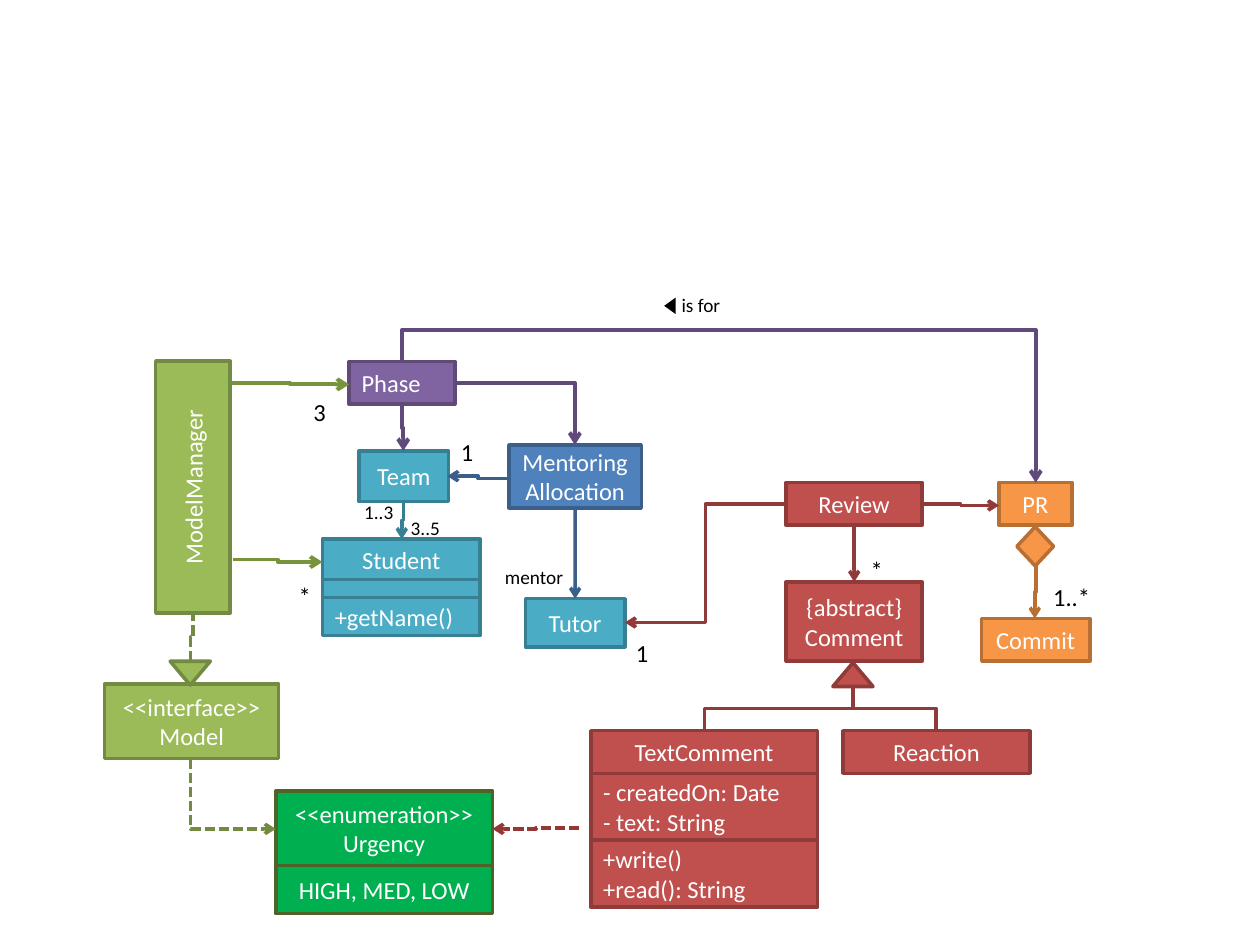
"""Draw a UML class diagram of a student project review system."""
from typing import NamedTuple

import pptx
import pptx.dml.color
import pptx.enum.dml
import pptx.enum.shapes
import pptx.enum.text
import pptx.oxml.ns
import pptx.oxml.xmlchemy
import pptx.util

Cm, Pt = pptx.util.Cm, pptx.util.Pt
RGBColor = pptx.dml.color.RGBColor
ShapeKind = pptx.enum.shapes.MSO_SHAPE
ConnectorKind = pptx.enum.shapes.MSO_CONNECTOR
LEFT, CENTER = pptx.enum.text.PP_ALIGN.LEFT, pptx.enum.text.PP_ALIGN.CENTER
qn, new_element = pptx.oxml.ns.qn, pptx.oxml.xmlchemy.OxmlElement

WHITE, BLACK = RGBColor(0xFF, 0xFF, 0xFF), RGBColor(0x00, 0x00, 0x00)
GREEN, GREEN_EDGE = RGBColor(0x9B, 0xBB, 0x59), RGBColor(0x73, 0x8A, 0x42)
TEAL, TEAL_EDGE = RGBColor(0x4B, 0xAC, 0xC6), RGBColor(0x37, 0x7F, 0x92)
PURPLE, PURPLE_EDGE = RGBColor(0x80, 0x64, 0xA2), RGBColor(0x5F, 0x4A, 0x78)
RED, RED_EDGE = RGBColor(0xC0, 0x50, 0x4D), RGBColor(0x8E, 0x3B, 0x39)
ORANGE, ORANGE_EDGE = RGBColor(0xF7, 0x96, 0x46), RGBColor(0xB7, 0x6F, 0x34)
BLUE, BLUE_EDGE = RGBColor(0x4F, 0x81, 0xBD), RGBColor(0x3A, 0x5F, 0x8C)
EMERALD, EMERALD_EDGE = RGBColor(0x00, 0xB0, 0x50), RGBColor(0x4F, 0x62, 0x28)
GREEN_ARROW, PURPLE_ARROW = RGBColor(0x77, 0x93, 0x3C), RGBColor(0x60, 0x4A, 0x7B)
RED_ARROW = RGBColor(0x95, 0x37, 0x35)


class Compartment(NamedTuple):
    text: str
    height: float
    align: int = CENTER


class ClassBox(NamedTuple):
    position: tuple[float, float]
    width: float
    fill: RGBColor
    edge: RGBColor
    compartments: list[Compartment]
    rotation: float = 0


class Symbol(NamedTuple):
    kind: ShapeKind
    frame: tuple[float, float, float, float]
    fill: RGBColor
    edge: RGBColor
    rotation: float = 0


class Elbow(NamedTuple):
    start: tuple[float, float]
    end: tuple[float, float]
    color: RGBColor
    vertical: bool = False
    arrow: bool = True
    dashed: bool = False
    weight: float = 2
    single_bend: bool = False
    bend: float = 0.5


class Label(NamedTuple):
    text: str
    position: tuple[float, float]
    width: float = 0.61
    height: float = 0.86
    size: float = 14


CLASSES = {
    "Model": ClassBox((2.11, 13.79), 3.51, GREEN, GREEN_EDGE, [Compartment("<<interface>>\vModel", 1.5)]),
    "Phase": ClassBox((7.04, 7.29), 2.13, PURPLE, PURPLE_EDGE, [Compartment("Phase", 0.86, LEFT)]),
    "Review": ClassBox((15.85, 9.73), 2.74, RED, RED_EDGE, [Compartment("Review", 0.86)]),
    "Team": ClassBox((7.24, 9.09), 1.8, TEAL, TEAL_EDGE, [Compartment("Team", 1.02)]),
    "Commit": ClassBox((19.79, 12.47), 2.18, ORANGE, ORANGE_EDGE, [Compartment("Commit", 0.86)]),
    "Tutor": ClassBox((10.59, 12.07), 2.01, TEAL, TEAL_EDGE, [Compartment("Tutor", 0.97)]),
    "Manager": ClassBox((1.35, 9.07), 5.08, GREEN, GREEN_EDGE, [Compartment("ModelManager", 1.5)], 270),
    "Mentoring": ClassBox((10.26, 8.97), 2.67, BLUE, BLUE_EDGE, [Compartment("MentoringAllocation", 1.27)]),
    "PR": ClassBox((20.14, 9.73), 1.47, ORANGE, ORANGE_EDGE, [Compartment("PR", 0.86)]),
    "Comment": ClassBox((15.85, 11.73), 2.74, RED, RED_EDGE, [Compartment("{abstract}\nComment", 1.6)]),
    "Reaction": ClassBox((16.99, 14.73), 3.78, RED, RED_EDGE, [Compartment("Reaction", 0.86)]),
    "Student": ClassBox((6.5, 10.87), 3.18, TEAL, TEAL_EDGE, [
        Compartment("Student", 0.81), Compartment("", 0.37), Compartment("+getName()", 0.76, LEFT)]),
    "TextComment": ClassBox((11.91, 14.73), 4.57, RED, RED_EDGE, [
        Compartment("TextComment", 0.86), Compartment("- createdOn: Date\n- text: String", 1.35, LEFT),
        Compartment("+write()\n+read(): String", 1.35, LEFT)]),
    "Urgency": ClassBox((5.56, 15.95), 4.37, EMERALD, EMERALD_EDGE, [
        Compartment("<<enumeration>>\vUrgency", 1.5), Compartment("HIGH, MED, LOW", 0.97)]),
}
SYMBOLS = [
    Symbol(ShapeKind.ISOSCELES_TRIANGLE, (3.43, 13.33, 0.81, 0.48), GREEN, GREEN_EDGE, 180),
    Symbol(ShapeKind.ISOSCELES_TRIANGLE, (16.79, 13.36, 0.81, 0.48), RED, RED_EDGE),
    Symbol(ShapeKind.FLOWCHART_DECISION, (20.5, 10.62, 0.74, 0.79), ORANGE, ORANGE_EDGE),
]
ELBOWS = [
    Elbow((3.84, 13.33), (3.89, 12.34), GREEN_EDGE, vertical=True, arrow=False, dashed=True),
    Elbow((9.19, 7.72), (11.59, 8.97), PURPLE_ARROW, weight=2.25, single_bend=True),
    Elbow((8.13, 10.11), (8.1, 10.87), TEAL_EDGE, vertical=True),
    Elbow((10.26, 9.65), (9.02, 9.6), BLUE_EDGE),
    Elbow((8.1, 8.15), (8.13, 9.09), PURPLE_ARROW, vertical=True, weight=2.25),
    Elbow((20.88, 11.4), (20.86, 12.47), ORANGE_EDGE, vertical=True),
    Elbow((15.85, 10.16), (12.6, 12.55), RED_EDGE),
    Elbow((18.59, 10.16), (20.14, 10.19), RED_EDGE),
    Elbow((4.65, 7.72), (7.04, 7.75), GREEN_ARROW, weight=2.25),
    Elbow((4.7, 11.28), (6.5, 11.33), GREEN_ARROW, weight=2.25),
    Elbow((8.1, 7.29), (20.88, 9.73), PURPLE_ARROW, vertical=True, weight=2.25, bend=-0.26),
    Elbow((14.2, 14.73), (17.2, 13.84), RED_EDGE, vertical=True, arrow=False),
    Elbow((18.87, 14.73), (17.2, 13.84), RED_EDGE, vertical=True, arrow=False),
    Elbow((3.84, 15.29), (5.56, 16.71), GREEN_EDGE, vertical=True, dashed=True, single_bend=True),
    Elbow((11.68, 16.69), (9.93, 16.71), RED_ARROW, dashed=True),
]
STRAIGHT_ARROWS = [("Mentoring", "Tutor", BLUE_EDGE), ("Review", "Comment", RED_EDGE)]
LABELS = [
    Label("*", (5.77, 11.58)), Label("*", (17.3, 11.07)), Label("1..*", (20.98, 11.61), 1.55),
    Label("1", (9.04, 8.69)), Label("3", (6.07, 7.87)), Label("1", (12.57, 12.73)),
    Label("3..5", (8.03, 10.29), 1.45, 0.73, 11), Label("1..3", (7.09, 9.96), 1.45, 0.73, 11),
    Label("mentor", (9.93, 11.28), 1.75, 0.73, 11),
]
IS_FOR_LABEL = Label("is for", (13.49, 5.79), 1.45, 0.73, 11)
IS_FOR_POINTER = Symbol(ShapeKind.ISOSCELES_TRIANGLE, (13.34, 6.05, 0.33, 0.23), BLACK, BLACK, 270)


def apply_format(target: object, values: dict) -> None:
    for name, value in values.items():
        setattr(target, name, value)


def write_text(text_frame, text: str, size: float, color: RGBColor, align: int) -> None:
    apply_format(text_frame, {"word_wrap": True, "text": text})
    for paragraph in text_frame.paragraphs:
        paragraph.alignment = align
        apply_format(paragraph.font, {"name": "Calibri", "size": Pt(size)})
        paragraph.font.color.rgb = color


def draw_symbol(shapes, symbol: Symbol):
    shape = shapes.add_shape(symbol.kind, *map(Cm, symbol.frame))
    shape.shadow.inherit = False
    shape.rotation = symbol.rotation
    shape.fill.solid()
    shape.fill.fore_color.rgb = symbol.fill
    shape.line.color.rgb = symbol.edge
    shape.line.width = Pt(2)
    return shape


def draw_class(shapes, box: ClassBox):
    (left, top), drawn = box.position, []
    for part in box.compartments:
        frame = (left, top, box.width, part.height)
        drawn.append(draw_symbol(shapes, Symbol(ShapeKind.RECTANGLE, frame, box.fill, box.edge, box.rotation)))
        if part.text:
            write_text(drawn[-1].text_frame, part.text, 14, WHITE, part.align)
        top += part.height
    return drawn[0]


def draw_label(shapes, label: Label) -> None:
    box = shapes.add_textbox(*map(Cm, (*label.position, label.width, label.height)))
    write_text(box.text_frame, label.text, label.size, BLACK, LEFT)
    box.text_frame.auto_size = pptx.enum.text.MSO_AUTO_SIZE.SHAPE_TO_FIT_TEXT


def style_line(connector, color: RGBColor, weight: float = 2, arrow: bool = True, dashed: bool = False) -> None:
    connector.line.color.rgb = color
    connector.line.width = Pt(weight)
    if dashed:
        connector.line.dash_style = pptx.enum.dml.MSO_LINE.SQUARE_DOT
    if arrow:
        tail = new_element("a:tailEnd")
        tail.set("type", "arrow")
        connector._element.spPr.find(qn("a:ln")).append(tail)
    connector._element.spPr.append(new_element("a:effectLst"))


def draw_elbow(shapes, elbow: Elbow) -> None:
    (x1, y1), (x2, y2) = elbow.start, elbow.end
    turn = 90 if y2 > y1 else 270
    if elbow.vertical:
        middle_x, middle_y, half_length = (x1 + x2) / 2, (y1 + y2) / 2, abs(y2 - y1) / 2
        half_shift = (x2 - x1) / 2 if turn == 90 else (x1 - x2) / 2
        x1, x2 = middle_x - half_length, middle_x + half_length
        y1, y2 = middle_y + half_shift, middle_y - half_shift
    connector = shapes.add_connector(ConnectorKind.ELBOW, *map(Cm, (x1, y1, x2, y2)))
    geometry = connector._element.spPr.find(qn("a:prstGeom"))
    if elbow.vertical:
        connector._element.spPr.find(qn("a:xfrm")).set("rot", str(turn * 60000))
    if elbow.single_bend:
        geometry.set("prst", "bentConnector2")
    elif elbow.bend != 0.5:
        guide = new_element("a:gd")
        apply_guide = {"name": "adj1", "fmla": f"val {round(elbow.bend * 100000)}"}
        guide.attrib.update(apply_guide)
        geometry.find(qn("a:avLst")).append(guide)
    style_line(connector, elbow.color, elbow.weight, elbow.arrow, elbow.dashed)


def main() -> None:
    presentation = pptx.Presentation()
    apply_format(presentation, {"slide_width": Cm(25.4), "slide_height": Cm(19.05)})
    shapes = presentation.slides.add_slide(presentation.slide_layouts[6]).shapes
    classes = {name: draw_class(shapes, box) for name, box in CLASSES.items()}
    for draw, items in ((draw_symbol, SYMBOLS), (draw_elbow, ELBOWS), (draw_label, LABELS)):
        for item in items:
            draw(shapes, item)
    for source, target, color in STRAIGHT_ARROWS:
        connector = shapes.add_connector(ConnectorKind.STRAIGHT, 0, 0, 0, 0)
        connector.begin_connect(classes[source], 2)
        connector.end_connect(classes[target], 0)
        style_line(connector, color)
    group = shapes.add_group_shape()
    draw_label(group.shapes, IS_FOR_LABEL)
    draw_symbol(group.shapes, IS_FOR_POINTER).line.fill.background()
    presentation.save("out.pptx")


if __name__ == "__main__":
    main()
